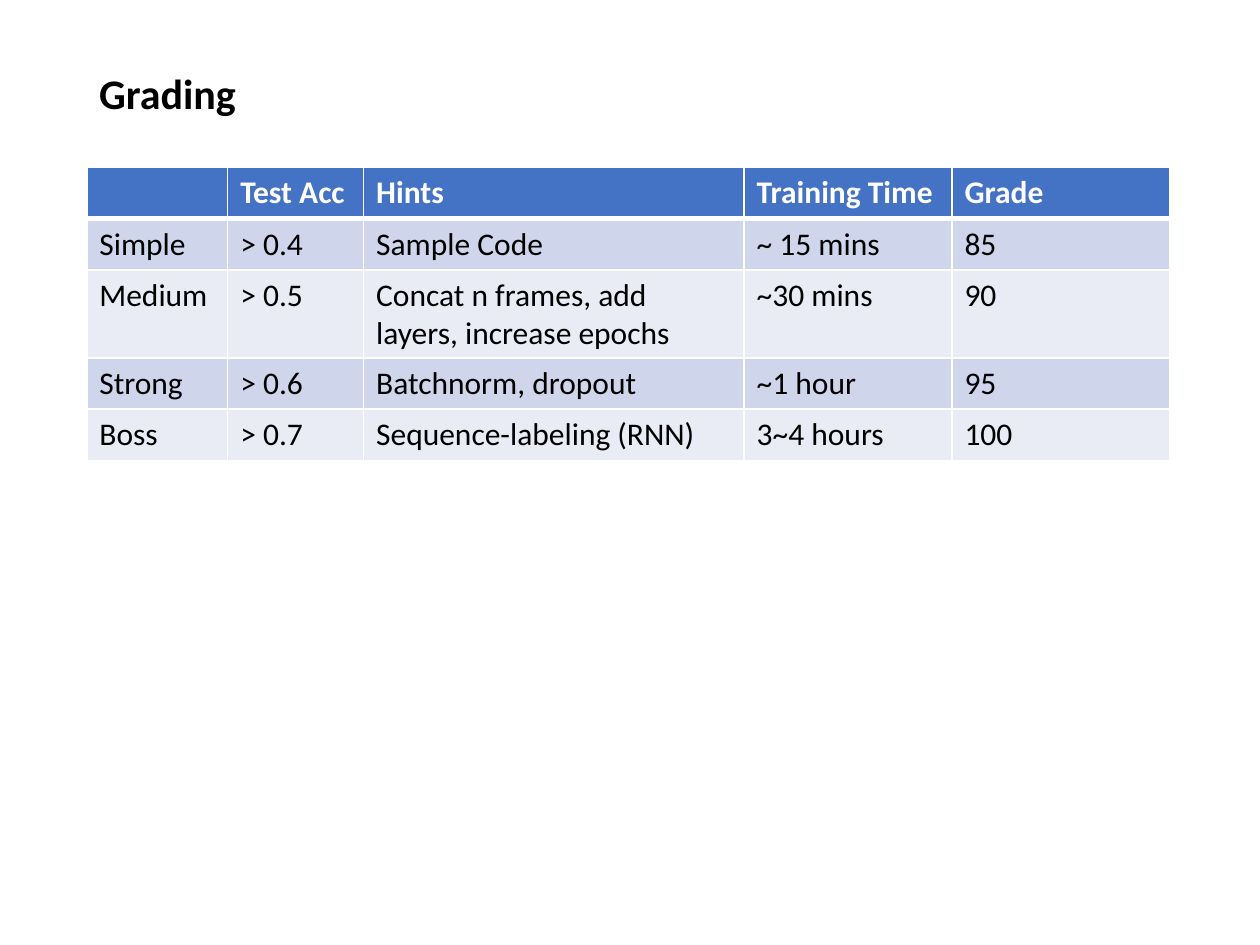
from typing import NamedTuple

from lxml.etree import SubElement
from pptx import Presentation
from pptx.dml.color import RGBColor
from pptx.enum.text import MSO_ANCHOR as Anchor
from pptx.oxml.ns import qn
from pptx.util import Cm, Pt

FONT = "Calibri"
BLACK, WHITE, BLUE = "000000", "FFFFFF", "4472C4"
BANDS = ("CFD5EA", "E9EBF5")
LEFT = Cm(1.75)
ROW_HEIGHT = Cm(1.03)


class Column(NamedTuple):
    heading: str
    width: float


class Level(NamedTuple):
    name: str
    accuracy: str
    hints: str
    time: str
    grade: str


COLUMNS = [
    Column("", 2.84),
    Column("Test Acc", 2.74),
    Column("Hints", 7.67),
    Column("Training Time", 4.19),
    Column("Grade", 4.39),
]
LEVELS = [
    Level("Simple", "> 0.4", "Sample Code", "~ 15 mins", "85"),
    Level("Medium", "> 0.5", "Concat n frames, add layers, increase epochs",
          "~30 mins", "90"),
    Level("Strong", "> 0.6", "Batchnorm, dropout", "~1 hour", "95"),
    Level("Boss", "> 0.7", "Sequence-labeling (RNN)", "3~4 hours", "100"),
]


def rgb(color: str) -> RGBColor:
    return RGBColor.from_string(color)


def add_text(p, text: str, size: int, color: str, bold: bool) -> None:
    r = p.add_run()
    r.text = text
    font = r.font
    font.name, font.size, font.bold = FONT, Pt(size), bold
    font.color.rgb = rgb(color)


def add_title(s, text: str) -> None:
    tf = s.shapes.add_textbox(LEFT, Cm(1.02), Cm(21.89), Cm(1.83)).text_frame
    tf.word_wrap = True
    tf.vertical_anchor = Anchor.MIDDLE
    p = tf.paragraphs[0]
    p.line_spacing = 0.9
    add_text(p, text, 24, BLACK, True)


def set_borders(cell, top: int, bottom: int) -> None:
    """Draw white borders; call before filling, as fills follow lines in XML."""
    tc_pr = cell._tc.get_or_add_tcPr()
    for side, width in zip("LRTB", (1, 1, top, bottom)):
        ln = SubElement(tc_pr, qn(f"a:ln{side}"), w=str(Pt(width)))
        fill = SubElement(ln, qn("a:solidFill"))
        SubElement(fill, qn("a:srgbClr"), val=WHITE)


def fill_cell(cell, text: str, row: int) -> None:
    header = row == 0
    set_borders(cell, top=3 if row == 1 else 1, bottom=3 if header else 1)
    cell.fill.solid()
    cell.fill.fore_color.rgb = rgb(BLUE if header else BANDS[(row - 1) % 2])
    p = cell.text_frame.paragraphs[0]
    if text:
        add_text(p, text, 18, WHITE if header else BLACK, header)
    else:
        p.font.size = Pt(18)


def add_grading_table(s, columns: list[Column], levels: list[Level]) -> None:
    rows = [[c.heading for c in columns], *levels]
    width = Cm(sum(c.width for c in columns))
    table = s.shapes.add_table(len(rows), len(columns), LEFT, Cm(3.38),
                               width, ROW_HEIGHT * len(rows)).table
    for col, column in zip(table.columns, columns):
        col.width = Cm(column.width)
    for i, values in enumerate(rows):
        table.rows[i].height = ROW_HEIGHT
        for j, text in enumerate(values):
            fill_cell(table.cell(i, j), text, i)


def main() -> None:
    prs = Presentation()
    prs.slide_width, prs.slide_height = Cm(25.4), Cm(19.05)
    s = prs.slides.add_slide(prs.slide_layouts[6])
    add_title(s, "Grading")
    add_grading_table(s, COLUMNS, LEVELS)
    prs.save("out.pptx")


if __name__ == "__main__":
    main()
